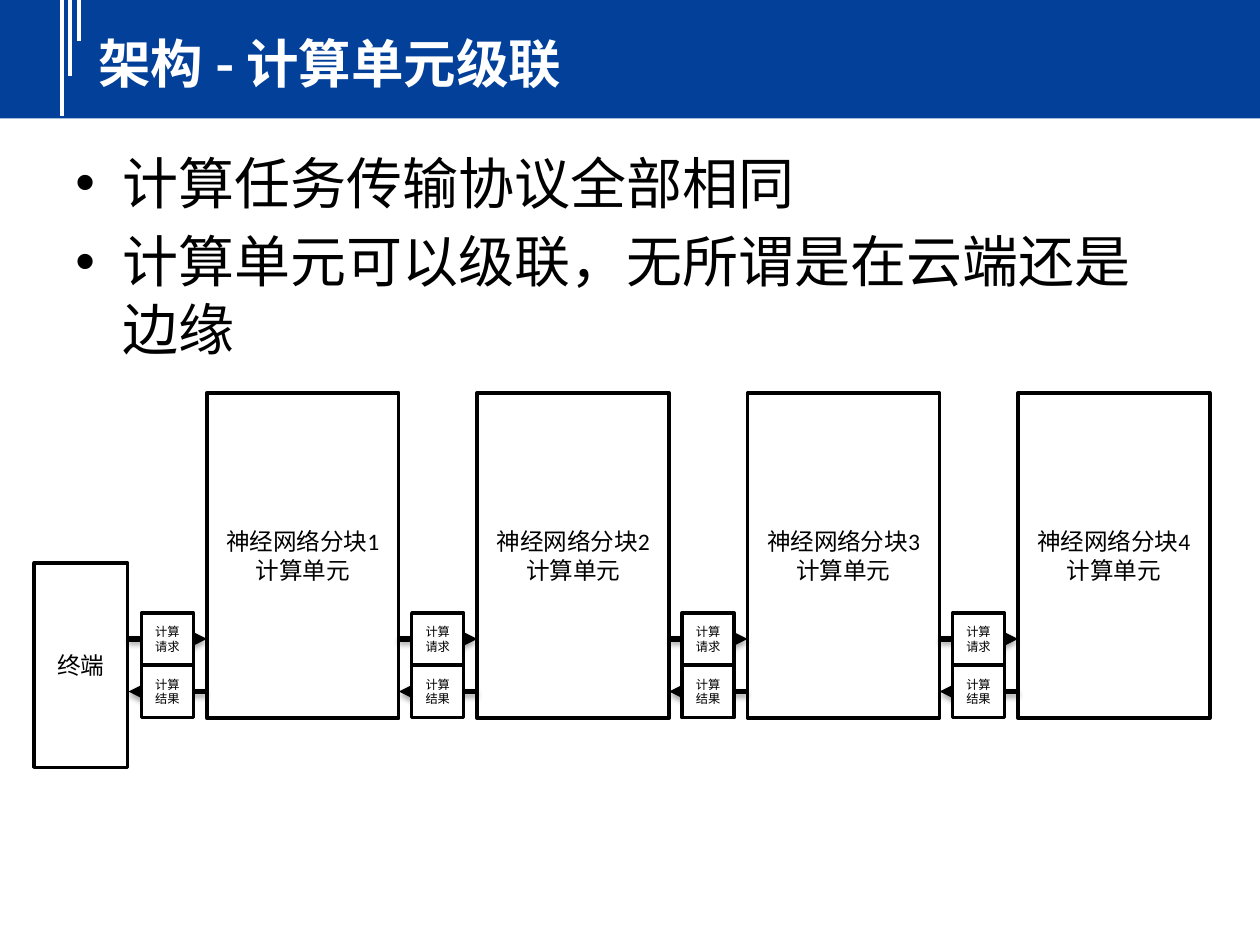
from lxml import etree
from pptx import Presentation
from pptx.dml.color import RGBColor
from pptx.enum.shapes import MSO_CONNECTOR, MSO_SHAPE
from pptx.enum.text import MSO_ANCHOR, PP_ALIGN
from pptx.oxml.ns import qn
from pptx.util import Cm, Pt

BLUE = RGBColor(0x02, 0x40, 0x9A)
WHITE = RGBColor(0xFF, 0xFF, 0xFF)
BLACK = RGBColor(0x00, 0x00, 0x00)

prs = Presentation()
prs.slide_width, prs.slide_height = Cm(25.4), Cm(19.05)
s = prs.slides.add_slide(prs.slide_layouts[6])


def add_box(x, y, w, h, text, size):
    sp = s.shapes.add_shape(MSO_SHAPE.RECTANGLE, Cm(x), Cm(y), Cm(w), Cm(h))
    sp.shadow.inherit = False
    sp.fill.solid()
    sp.fill.fore_color.rgb = WHITE
    sp.line.color.rgb = BLACK
    sp.line.width = Pt(2)
    tf = sp.text_frame
    tf.text = text
    tf.word_wrap = True
    tf.vertical_anchor = MSO_ANCHOR.MIDDLE
    for p in tf.paragraphs:
        p.alignment = PP_ALIGN.CENTER
        p.font.name, p.font.size = "Calibri", Pt(size)
        p.font.color.rgb = BLACK


def add_line(x1, y1, x2, y2, color, width, arrow=False):
    ln = s.shapes.add_connector(MSO_CONNECTOR.STRAIGHT, Cm(x1), Cm(y1), Cm(x2), Cm(y2))
    ln.line.color.rgb = color
    ln.line.width = Pt(width)
    sp_pr = ln._element.spPr
    effects = etree.SubElement(sp_pr, qn("a:effectLst"))
    if arrow:
        etree.SubElement(sp_pr.find(qn("a:ln")), qn("a:tailEnd"), type="triangle")
        shadow = etree.SubElement(effects, qn("a:outerShdw"), blurRad="40000",
                                  dist="23000", dir="5400000", rotWithShape="0")
        tint = etree.SubElement(shadow, qn("a:srgbClr"), val="000000")
        etree.SubElement(tint, qn("a:alpha"), val="35000")


# Banner with three white stripes
sp = s.shapes.add_shape(MSO_SHAPE.RECTANGLE, 0, 0, prs.slide_width, Cm(2.39))
sp.shadow.inherit = False
sp.fill.solid()
sp.fill.fore_color.rgb = BLUE
sp.line.fill.background()
for x, length in ((1.25, 2.34), (1.42, 1.54), (1.6, 0.83)):
    add_line(x, 0, x, length, WHITE, 2.25)

# Title
tf = s.shapes.add_textbox(Cm(1.73), Cm(0.48), Cm(23.16), Cm(1.55)).text_frame
tf.word_wrap = True
tf.vertical_anchor = MSO_ANCHOR.MIDDLE
tf.text = "架构 - 计算单元级联"
r = tf.paragraphs[0].runs[0]
r.font.name, r.font.size, r.font.bold = "Noto Sans CJK SC", Pt(30), True
r.font.color.rgb = WHITE
etree.SubElement(r.font._element, qn("a:ea"), typeface="Noto Sans CJK SC")

# Bullet points
tf = s.shapes.add_textbox(Cm(1.27), Cm(2.87), Cm(22.86), Cm(14.15)).text_frame
tf.word_wrap = True
tf.text = "计算任务传输协议全部相同\n计算单元可以级联，无所谓是在云端还是边缘"
for p in tf.paragraphs:
    p.space_before = Pt(6.4)
    r = p.runs[0]
    r.font.name, r.font.size = "Calibri", Pt(32)
    r.font.color.rgb = BLACK
    p_pr = p._p.get_or_add_pPr()
    p_pr.set("marL", str(Cm(0.95)))
    p_pr.set("indent", str(-Cm(0.95)))
    etree.SubElement(p_pr, qn("a:buFont"), typeface="Arial")
    etree.SubElement(p_pr, qn("a:buChar"), char="•")

# Terminal and the four cascaded computing units
PITCH, UNIT_X, GAP = 5.45, 4.17, 1.58
for i in range(4):
    add_box(UNIT_X + i * PITCH, 7.92, 3.87, 6.56, f"神经网络分块{i + 1}\n计算单元", 13.5)
add_box(0.69, 11.35, 1.88, 4.12, "终端", 13.5)

# Request and result links in front of each unit
for i in range(4):
    right = UNIT_X + i * PITCH
    left = right - GAP
    add_line(left, 12.88, right, 12.88, BLACK, 3, arrow=True)
    add_line(right, 13.94, left, 13.94, BLACK, 3, arrow=True)
    add_box(left + 0.26, 13.42, 1.05, 1.05, "计算结果", 7)
    add_box(left + 0.26, 12.36, 1.05, 1.05, "计算请求", 7)

prs.save("out.pptx")
